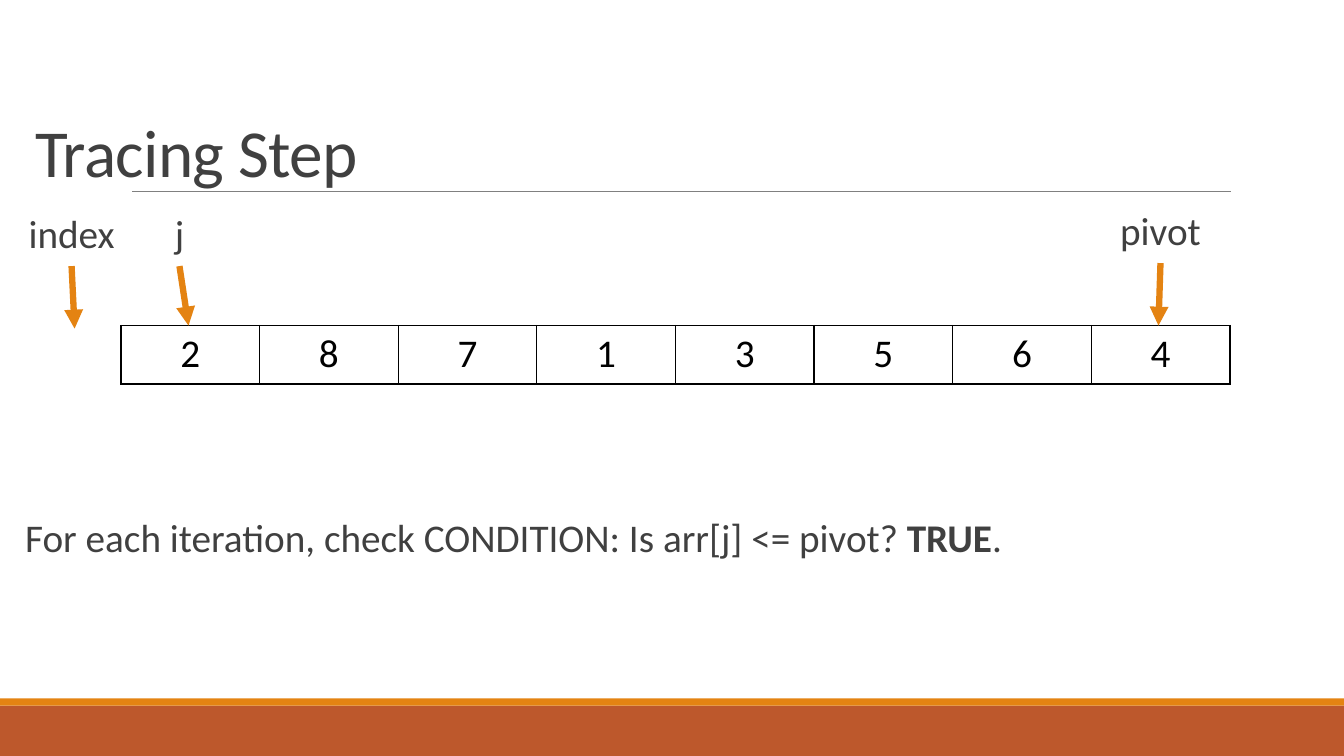
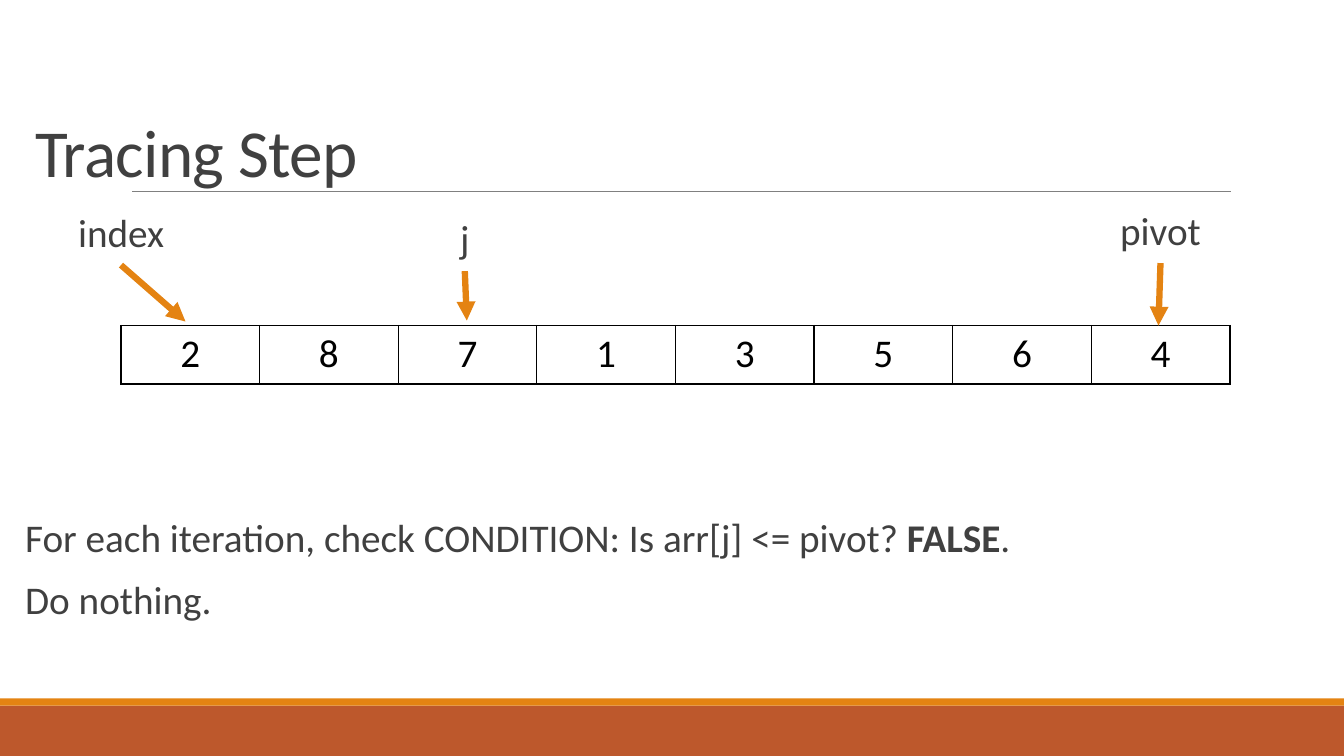
from dataclasses import dataclass

from lxml.etree import SubElement
from pptx import Presentation
from pptx.dml.color import RGBColor
from pptx.enum.shapes import MSO_CONNECTOR, MSO_SHAPE
from pptx.enum.text import MSO_ANCHOR, PP_ALIGN
from pptx.oxml.ns import qn
from pptx.util import Inches, Pt


@dataclass(frozen=True)
class Theme:
    font: str = "Calibri"
    ink: str = "404040"
    black: str = "000000"
    rule: str = "808080"
    rust: str = "BD582C"
    amber: str = "E48312"
    head: int = 48
    body: int = 28


THEME = Theme()
WIDTH, HEIGHT = 13.33, 7.5
VALUES = [2, 8, 7, 1, 3, 5, 6, 4]
QUERY = "For each iteration, check CONDITION: Is arr[j] <= pivot? "

# Each pointer: label, left and top of the label, tip of the arrow
PIVOT = ("pivot", 11.05, 2.05, (11.49, 3.23))
STEPS = [
    ([PIVOT, ("j", 1.32, 2.08, (1.87, 3.23)),
      ("index", 0.25, 2.08, (0.74, 3.26))],
     "TRUE", []),
    ([PIVOT, ("j", 4.15, 2.13, (4.63, 3.18)),
      ("index", 0.74, 2.07, (1.84, 3.19))],
     "FALSE", ["Do nothing."]),
]


def color(code):
    return RGBColor.from_string(code)


# Text
def add_run(para, text, size=THEME.body, ink=THEME.ink, bold=False):
    run = para.add_run()
    run.text = text
    font = run.font
    font.name, font.size, font.bold = THEME.font, Pt(size), bold
    font.color.rgb = color(ink)
    return run


def add_box(slide, left, top, width, height):
    box = slide.shapes.add_textbox(*map(Inches, (left, top, width, height)))
    box.text_frame.word_wrap = True
    return box


def add_text(slide, area, lines, align=PP_ALIGN.LEFT):
    """Each line is a list of (text, bold) pairs."""
    box = add_box(slide, *area)
    frame = box.text_frame
    frame.margin_left = frame.margin_right = 0
    for i, line in enumerate(lines):
        para = frame.add_paragraph() if i else frame.paragraphs[0]
        para.alignment = align
        para.line_spacing = 0.9
        para.space_before, para.space_after = Pt(12), Pt(2)
        for text, bold in line:
            add_run(para, text, bold=bold)
    return box


def add_title(slide, text):
    frame = add_box(slide, 0.25, 0.36, 11, 1.59).text_frame
    frame.vertical_anchor = MSO_ANCHOR.BOTTOM
    para = frame.paragraphs[0]
    para.line_spacing = 0.85
    run = add_run(para, text, THEME.head)
    run.font._element.set("spc", "-50")


# Bands and lines
def add_band(slide, top, height, fill):
    band = slide.shapes.add_shape(
        MSO_SHAPE.RECTANGLE, 0, Inches(top), Inches(WIDTH), Inches(height))
    band.shadow.inherit = False
    band.fill.solid()
    band.fill.fore_color.rgb = color(fill)
    band.line.fill.background()


def add_line(slide, start, end, ink, weight):
    line = slide.shapes.add_connector(
        MSO_CONNECTOR.STRAIGHT, *map(Inches, (*start, *end)))
    line.line.color.rgb = color(ink)
    line.line.width = Pt(weight)
    SubElement(line._element.spPr, qn("a:effectLst"))
    return line


def add_frame(slide):
    add_band(slide, 7, 0.5, THEME.rust)
    add_band(slide, 6.93, 0.07, THEME.amber)
    add_line(slide, (1.31, 1.9), (12.21, 1.9), THEME.rule, 0.5)


# Array cells
def add_edges(cell):
    props = cell._tc.get_or_add_tcPr()
    for side in ("lnL", "lnR", "lnT", "lnB"):
        edge = SubElement(props, qn(f"a:{side}"), w=str(Pt(1)))
        fill = SubElement(edge, qn("a:solidFill"))
        SubElement(fill, qn("a:srgbClr"), val=THEME.black)


def add_array(slide, values):
    area = map(Inches, (1.2, 3.23, 11, 0.58))
    table = slide.shapes.add_table(1, len(values), *area).table
    table.first_row = table.horz_banding = False
    for cell, value in zip(table.iter_cells(), values):
        add_edges(cell)
        cell.fill.background()
        para = cell.text_frame.paragraphs[0]
        para.alignment = PP_ALIGN.CENTER
        add_run(para, str(value), ink=THEME.black)


# Label with an arrow from its lower edge
def add_pointer(slide, name, left, top, tip):
    width, height = 0.92, 0.56
    label = add_text(slide, (left, top, width, height),
                     [[(name, False)]], PP_ALIGN.CENTER)
    start = (left + width / 2, top + height)
    arrow = add_line(slide, start, tip, THEME.amber, 4.5)
    arrow.begin_connect(label, 2)
    SubElement(arrow.line._get_or_add_ln(), qn("a:tailEnd"), type="triangle")


def add_step(deck, marks, answer, notes):
    slide = deck.slides.add_slide(deck.slide_layouts[6])
    add_frame(slide)
    add_title(slide, "Tracing Step")
    add_array(slide, VALUES)
    for mark in marks:
        add_pointer(slide, *mark)
    lines = [[(QUERY, False), (answer, True), (".", False)]]
    lines += [[(note, False)] for note in notes]
    add_text(slide, (0.25, 5.1, 11, 1.9), lines)


def main():
    deck = Presentation()
    deck.slide_width, deck.slide_height = Inches(WIDTH), Inches(HEIGHT)
    for step in STEPS:
        add_step(deck, *step)
    deck.save("out.pptx")


if __name__ == "__main__":
    main()
